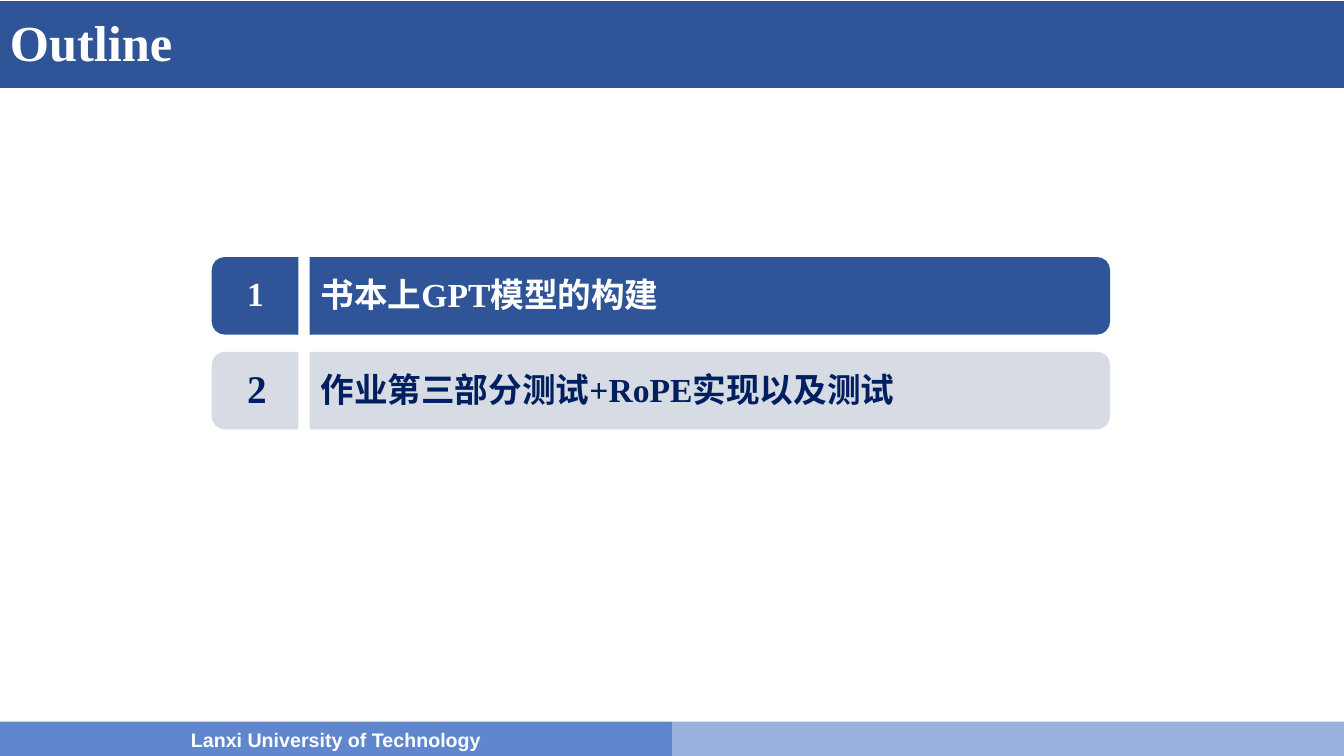
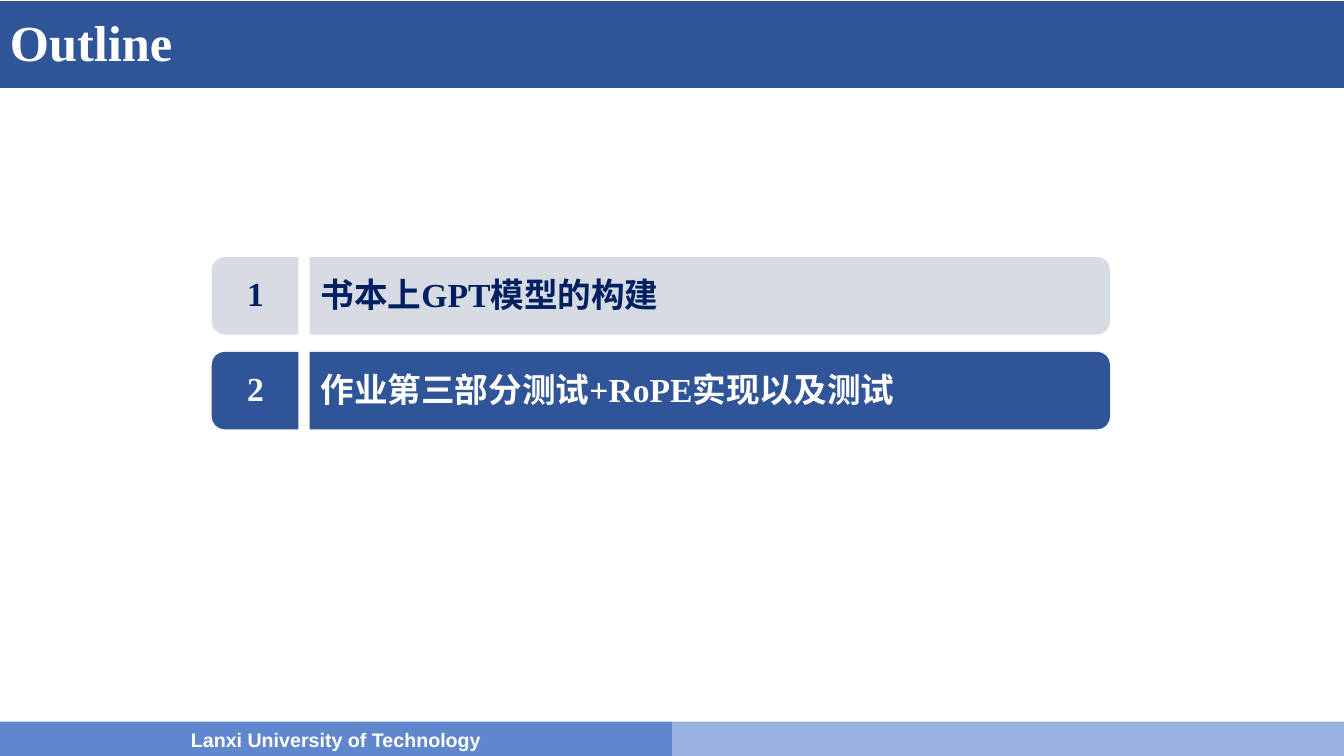
"""Builds two outline slides, each highlighting one topic."""
from math import cos, pi, sin

from pptx import Presentation
from pptx.dml.color import RGBColor
from pptx.enum.shapes import MSO_SHAPE
from pptx.enum.text import MSO_ANCHOR, MSO_AUTO_SIZE, PP_ALIGN
from pptx.util import Inches, Pt

RECTANGLE = MSO_SHAPE.RECTANGLE
MIDDLE = MSO_ANCHOR.MIDDLE
GROW = MSO_AUTO_SIZE.SHAPE_TO_FIT_TEXT
LEFT, CENTER = PP_ALIGN.LEFT, PP_ALIGN.CENTER

COLORS = {
    "band": "2F5497",
    "band_edge": "325491",
    "footer_left": "6087CD",
    "footer_right": "99B1DF",
    "muted": "D6DBE4",
    "navy": "001F60",
    "white": "FFFFFF",
}
SERIF, SANS = "Times New Roman", "Arial"

WIDTH, HEIGHT = 13.33, 7.5
HALF = WIDTH / 2
BAND_TOP, BAND_HEIGHT = 0.02, 0.85
FOOTER_TOP, FOOTER_HEIGHT = 7.16, 0.35

FIRST_ROW, ROW_PITCH, ROW_HEIGHT = 2.55, 0.94, 0.77
CHIP_LEFT, CHIP_RIGHT = 2.1, 2.96
BAR_LEFT, BAR_RIGHT = 3.07, 11.01
NUMBER_LEFT, NUMBER_WIDTH = 2.45, 0.19
LABEL_LEFT, LABEL_WIDTH = 3.18, 7.83
CORNER, CORNER_STEPS = 0.13, 4
LINE_PER_POINT = 0.0175

TOPICS = ["书本上GPT模型的构建", "作业第三部分测试+RoPE实现以及测试"]
NUMBER_SIZES = [[24, 28], [24, 24]]


def color(name):
    """Return the named colour."""
    return RGBColor.from_string(COLORS[name])


def paint(shape, fill, edge=None):
    """Give a shape a flat fill, an optional edge and no shadow."""
    shape.shadow.inherit = False
    shape.fill.solid()
    shape.fill.fore_color.rgb = color(fill)
    if edge:
        shape.line.color.rgb = color(edge)
        shape.line.width = Pt(1)
    else:
        shape.line.fill.background()


def write(shape, text, size, ink, font=SERIF, align=LEFT):
    """Write one bold, vertically centred paragraph and return it."""
    frame = shape.text_frame
    frame.word_wrap = True
    frame.vertical_anchor = MIDDLE
    para = frame.paragraphs[0]
    para.text = text
    para.alignment = align
    para.font.name = font
    para.font.size = Pt(size)
    para.font.bold = True
    para.font.color.rgb = color(ink)
    return para


def add_band(page, left, top, width, height, fill, edge=None):
    """Add a plain rectangular band."""
    band = page.shapes.add_shape(
        RECTANGLE, Inches(left), Inches(top), Inches(width), Inches(height))
    paint(band, fill, edge)
    return band


def add_frame(page, title):
    """Add the title band and the two-part footer."""
    add_band(page, 0, BAND_TOP, WIDTH, BAND_HEIGHT, "band", "band_edge")
    add_band(page, HALF, FOOTER_TOP, HALF, FOOTER_HEIGHT, "footer_right")
    footer = add_band(page, 0, FOOTER_TOP, HALF, FOOTER_HEIGHT, "footer_left")
    write(footer, "Lanxi University of Technology", 14, "white", SANS, CENTER)
    box = page.shapes.add_textbox(
        0, Inches(BAND_TOP), Inches(WIDTH - 0.42), Inches(BAND_HEIGHT))
    write(box, title, 36, "white").line_spacing = 0.9


def add_tile(page, flat, rounded, top, fill):
    """Add a tile with square corners at flat and round ones at rounded."""
    bottom = top + ROW_HEIGHT
    inward = CORNER if rounded < flat else -CORNER
    center = rounded + inward
    angles = [pi / 2 * step / CORNER_STEPS for step in range(CORNER_STEPS + 1)]
    upper = [(center - inward * sin(angle), top + CORNER * (1 - cos(angle)))
             for angle in angles]
    lower = [(x, top + bottom - y) for x, y in reversed(upper)]
    points = [(Inches(x), Inches(y))
              for x, y in upper + lower + [(flat, bottom)]]
    builder = page.shapes.build_freeform(Inches(flat), Inches(top))
    builder.add_line_segments(points, close=True)
    paint(builder.convert_to_shape(), fill)


def add_text(page, left, middle, width, text, size, ink):
    """Add a tight text box centred on a height."""
    height = size * LINE_PER_POINT
    box = page.shapes.add_textbox(
        Inches(left), Inches(middle - height / 2), Inches(width), Inches(height))
    frame = box.text_frame
    frame.margin_left = frame.margin_right = frame.margin_bottom = 0
    frame.margin_top = Inches(0.02)
    write(box, text, size, ink).space_before = Pt(1.3)
    frame.auto_size = GROW


def add_topic(page, row, topic, number_size, active):
    """Add one numbered outline row."""
    fill, ink = ("band", "white") if active else ("muted", "navy")
    top = FIRST_ROW + row * ROW_PITCH
    middle = top + ROW_HEIGHT / 2
    add_tile(page, CHIP_RIGHT, CHIP_LEFT, top, fill)
    add_tile(page, BAR_LEFT, BAR_RIGHT, top, fill)
    add_text(page, NUMBER_LEFT, middle - 0.04, NUMBER_WIDTH,
             str(row + 1), number_size, ink)
    add_text(page, LABEL_LEFT, middle - 0.03, LABEL_WIDTH, topic, 24, ink)


def main():
    """Build and save the deck."""
    deck = Presentation()
    deck.slide_width, deck.slide_height = Inches(WIDTH), Inches(HEIGHT)
    for current, sizes in enumerate(NUMBER_SIZES):
        page = deck.slides.add_slide(deck.slide_layouts[6])
        add_frame(page, "Outline")
        for row, (topic, size) in enumerate(zip(TOPICS, sizes)):
            add_topic(page, row, topic, size, row == current)
    deck.save("out.pptx")


if __name__ == "__main__":
    main()
